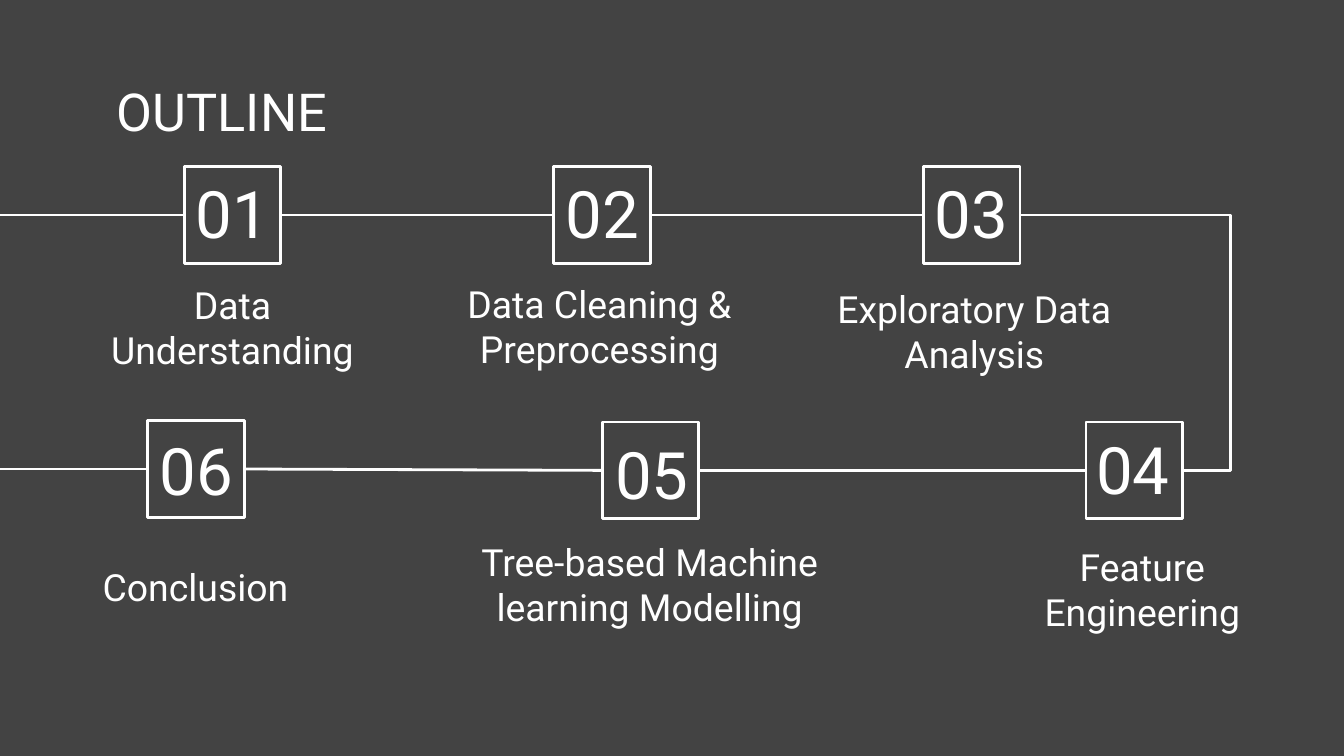
from dataclasses import dataclass

import pptx
import pptx.dml.color
import pptx.enum.shapes
import pptx.enum.text
import pptx.oxml.ns
import pptx.util
from lxml import etree

COLS = 10  # grid cells are one inch square
ROWS = COLS * 9 / 16
SIDE = 0.72
MID = SIDE / 2
FONT = "Roboto"
HUES = {"back": "434343", "ink": "FFFFFF"}
LINK = pptx.enum.shapes.MSO_CONNECTOR
ALIGN = pptx.enum.text.PP_ALIGN
ANCHOR = pptx.enum.text.MSO_ANCHOR


@dataclass
class Step:
    num: str
    left: float
    top: float
    label: str
    box: tuple[float, float, float, float]
    back: float = 0.15  # how far the number box starts left of the square
    rise: float = 0.05  # how far it starts above the square
    anchor: ANCHOR = ANCHOR.TOP


UPPER = [
    Step("01", 1.37, 1.24, "Data Understanding", (0.54, 2, 2.38, 0.78)),
    Step("02", 4.12, 1.24, "Data Cleaning & Preprocessing", (3.27, 1.99, 2.38, 0.87)),
    Step("03", 6.87, 1.24, "Exploratory Data Analysis", (6.06, 2.03, 2.38, 0.77)),
]
LOWER = [
    Step("06", 1.1, 3.13, "Conclusion", (0.15, 4.1, 2.61, 0.51), rise=0.03),
    Step("05", 4.48, 3.14, "Tree-based Machine learning Modelling",
         (3.07, 4.09, 3.53, 0.51), back=0.14, rise=0.01, anchor=ANCHOR.MIDDLE),
    Step("04", 8.08, 3.14, "Feature Engineering", (7.31, 3.95, 2.38, 0.77), back=0.16),
]


def cells(*sizes: float) -> list[int]:
    """Turn grid cells into slide lengths."""
    return [pptx.util.Inches(size) for size in sizes]


def hue(name: str) -> pptx.dml.color.RGBColor:
    return pptx.dml.color.RGBColor.from_string(HUES[name])


def write(shape, text: str, *, size: float, align=ALIGN.CENTER, anchor=ANCHOR.TOP) -> None:
    frame = shape.text_frame
    frame.word_wrap = True
    frame.auto_size = pptx.enum.text.MSO_AUTO_SIZE.NONE
    frame.vertical_anchor = anchor
    frame.margin_left, frame.margin_top, frame.margin_right, frame.margin_bottom = cells(*[0.1] * 4)
    para = frame.paragraphs[0]
    para.alignment = align
    run = para.add_run()
    run.text = text
    run.font.name = FONT
    run.font.size = pptx.util.Pt(size)
    run.font.color.rgb = hue("ink")


def stroke(shape) -> None:
    shape.line.color.rgb = hue("ink")
    shape.line.width = pptx.util.Pt(1.5)


def join(slide, start: tuple[float, float], end: tuple[float, float], kind=LINK.STRAIGHT):
    link = slide.shapes.add_connector(kind, *cells(*start, *end))
    stroke(link)
    etree.SubElement(link._element.spPr, pptx.oxml.ns.qn("a:effectLst"))
    return link


def chain(slide, steps: list[Step]) -> None:
    """Link a row of squares, coming in from the left edge."""
    start = (0, steps[0].top + MID)
    for step in steps:
        level = step.top + MID
        join(slide, start, (step.left, level))
        start = (step.left + SIDE, level)


def turn(slide, first: Step, last: Step) -> None:
    """Lead the upper row round the right side into the lower row."""
    ends = [(step.left + SIDE, step.top + MID) for step in (first, last)]
    link = join(slide, *ends, kind=LINK.ELBOW)
    geom = link._element.spPr.find(pptx.oxml.ns.qn("a:prstGeom"))
    guides = geom.find(pptx.oxml.ns.qn("a:avLst"))
    etree.SubElement(guides, pptx.oxml.ns.qn("a:gd"), name="adj1", fmla="val 129600")


def draw(slide, step: Step) -> None:
    square = slide.shapes.add_shape(
        pptx.enum.shapes.MSO_SHAPE.RECTANGLE, *cells(step.left, step.top, SIDE, SIDE))
    square.shadow.inherit = False
    square.fill.background()
    stroke(square)
    spot = cells(step.left - step.back, step.top - step.rise, 1.02, 0.77)
    write(slide.shapes.add_textbox(*spot), step.num, size=35)
    write(slide.shapes.add_textbox(*cells(*step.box)), step.label, size=20, anchor=step.anchor)


def main() -> None:
    deck = pptx.Presentation()
    deck.slide_width, deck.slide_height = cells(COLS, ROWS)
    slide = deck.slides.add_slide(deck.slide_layouts.get_by_name("Title Only"))
    slide.background.fill.solid()
    slide.background.fill.fore_color.rgb = hue("back")

    title = slide.shapes.title
    title.left, title.top, title.width, title.height = cells(0.77, 0.49, 8.45, 0.63)
    write(title, "OUTLINE", size=28, align=ALIGN.LEFT)

    for row in (UPPER, LOWER):
        chain(slide, row)
        for step in row:
            draw(slide, step)
    turn(slide, UPPER[-1], LOWER[-1])
    deck.save("out.pptx")


if __name__ == "__main__":
    main()
